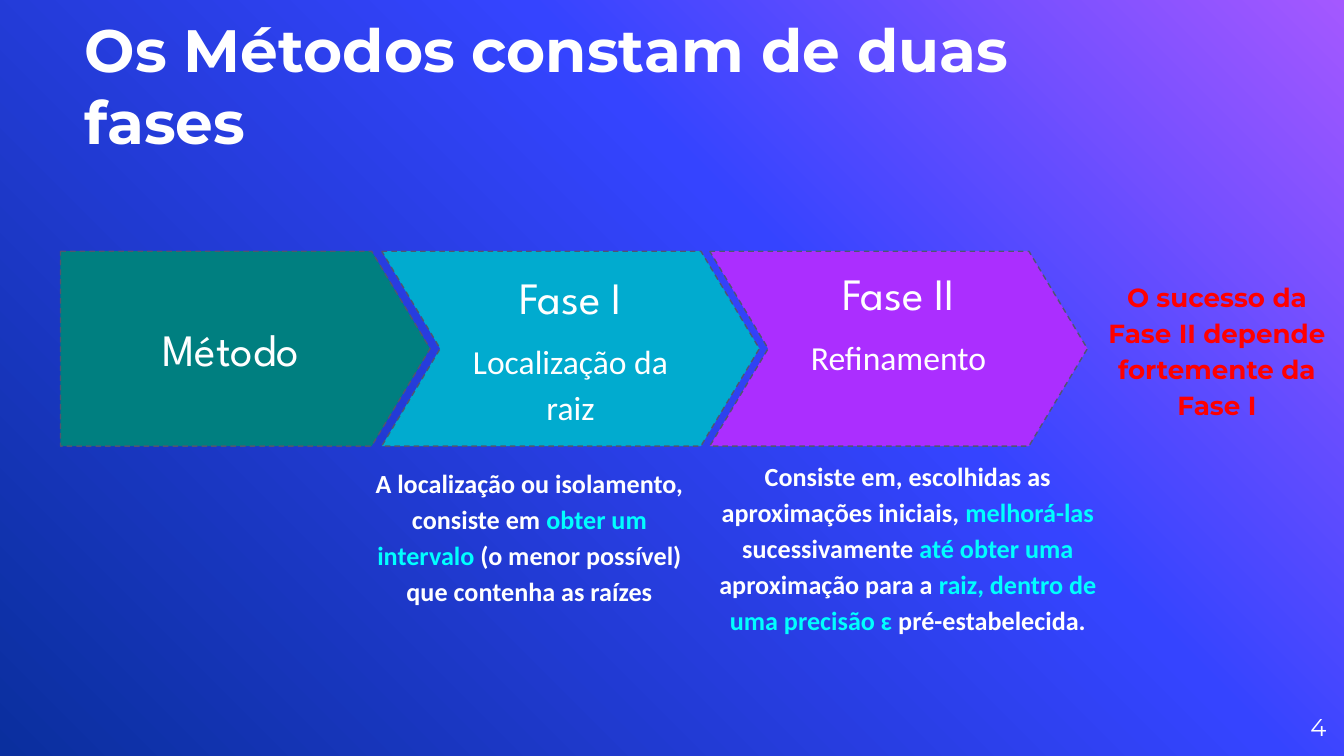
from copy import deepcopy

from pptx import Presentation
from pptx.dml.color import RGBColor
from pptx.enum import dml, shapes, text
from pptx.util import Pt

WHITE, CYAN, RED, OUTLINE = "FFFFFF", "00FFFF", "FF0000", "505670"
HEADING, BODY, LABEL = "Montserrat", "Calibri", "League Spartan"

# Content
TITLE = "Os Métodos constam de duas fases"
BACKGROUND = [(0, "A458FF"), (0.39, "3544FF"), (1, "0A2F9E")]
# label, subtitle, fill, extra bottom inset
STEPS = [
    ("Método", None, "007F80", 0),
    ("Fase I", "Localização da raiz", "01ABCF", 0),
    ("Fase II", "Refinamento", "AB2EFF", 29),
]
# box (left, top, width, height), font, runs (words, colour)
NOTES = [
    ((384.5, 244, 203.8, 153.4), BODY, [
        ("Consiste em, escolhidas as aproximações iniciais, ", WHITE),
        ("melhorá-las", CYAN),
        (" sucessivamente ", WHITE),
        ("até obter uma", CYAN),
        (" aproximação para a ", WHITE),
        ("raiz, dentro de uma precisão ɛ", CYAN),
        (" pré-estabelecida.", WHITE)]),
    ((198.7, 247.7, 169.9, 141.8), BODY, [
        ("A localização ou isolamento, consiste em ", WHITE),
        ("obter um intervalo", CYAN),
        (" (o menor possível) que contenha as raízes", WHITE)]),
    ((586.8, 148.3, 130.3, 77), HEADING, [
        ("O sucesso da Fase II depende fortemente da Fase I", RED)]),
]
PAGE = "4"

# Arrow row
ROW_TOP, ROW_HEIGHT = 134.6, 104.4
PLATE_LEFT, PLATE_WIDTH = 32.4, 198
CHEVRON_LEFT, CHEVRON_WIDTH, CHEVRON_PITCH = 204.5, 202.3, 175.7


def rgb(value):
    return RGBColor.from_string(value)


def add_run(paragraph, words, font, size, color=WHITE, bold=False):
    run = paragraph.add_run()
    run.text = words
    run.font.name, run.font.size, run.font.bold = font, Pt(size), bold
    run.font.color.rgb = rgb(color)


def set_frame(frame, anchor, inset=0, extra_bottom=0):
    frame.word_wrap = True
    frame.auto_size = text.MSO_AUTO_SIZE.NONE
    frame.vertical_anchor = anchor
    frame.margin_left = frame.margin_right = frame.margin_top = Pt(inset)
    frame.margin_bottom = Pt(inset + extra_bottom)


def add_box(box, anchor):
    frame = slide.shapes.add_textbox(*map(Pt, box)).text_frame
    set_frame(frame, anchor)
    return frame.paragraphs[0]


def set_spaced(paragraph):
    paragraph.alignment = text.PP_ALIGN.CENTER
    paragraph.line_spacing = 1.15
    paragraph.space_before = Pt(6)


prs = Presentation()
prs.slide_width, prs.slide_height = Pt(720), Pt(405)
slide = prs.slides.add_slide(prs.slide_layouts[5])

# Background, from top right to bottom left
fill = slide.background.fill
fill.gradient()
fill.gradient_angle = 225
stop_list = fill._fill._gradFill.gsLst
stop_list.insert(1, deepcopy(stop_list[0]))
for stop, (position, color) in zip(fill.gradient_stops, BACKGROUND):
    stop.position = position
    stop.color.rgb = rgb(color)

# Title
title = slide.shapes.title
title.left, title.top, title.width, title.height = map(Pt, (45.4, 38.2, 575.3, 45.4))
set_frame(title.text_frame, text.MSO_ANCHOR.BOTTOM)
heading = title.text_frame.paragraphs[0]
heading.alignment = text.PP_ALIGN.LEFT
add_run(heading, TITLE, HEADING, 32, bold=True)

# Steps: a starting plate, then chevrons at an equal pitch
for i, (label, subtitle, color, extra_bottom) in enumerate(STEPS):
    if i == 0:
        kind, left, width = shapes.MSO_SHAPE.PENTAGON, PLATE_LEFT, PLATE_WIDTH
    else:
        kind, width = shapes.MSO_SHAPE.CHEVRON, CHEVRON_WIDTH
        left = CHEVRON_LEFT + (i - 1) * CHEVRON_PITCH
    step = slide.shapes.add_shape(kind, Pt(left), Pt(ROW_TOP), Pt(width), Pt(ROW_HEIGHT))
    step.adjustments[0] = 0.3
    step.shadow.inherit = False
    step.fill.solid()
    step.fill.fore_color.rgb = rgb(color)
    step.line.color.rgb = rgb(OUTLINE)
    step.line.width = Pt(0.75)
    step.line.dash_style = dml.MSO_LINE.DASH
    frame = step.text_frame
    set_frame(frame, text.MSO_ANCHOR.MIDDLE, 7.2, extra_bottom)
    frame.paragraphs[0].alignment = text.PP_ALIGN.CENTER
    add_run(frame.paragraphs[0], label, LABEL, 24)
    if subtitle:
        detail = frame.add_paragraph()
        set_spaced(detail)
        add_run(detail, subtitle, BODY, 18)

# Notes
for box, font, runs in NOTES:
    note = add_box(box, text.MSO_ANCHOR.TOP)
    set_spaced(note)
    for words, color in runs:
        add_run(note, words, font, 14, color, bold=True)

# Page number
page = add_box((667.4, 373.7, 43.2, 31), text.MSO_ANCHOR.MIDDLE)
page.alignment = text.PP_ALIGN.RIGHT
add_run(page, PAGE, HEADING, 13)

prs.save("out.pptx")
